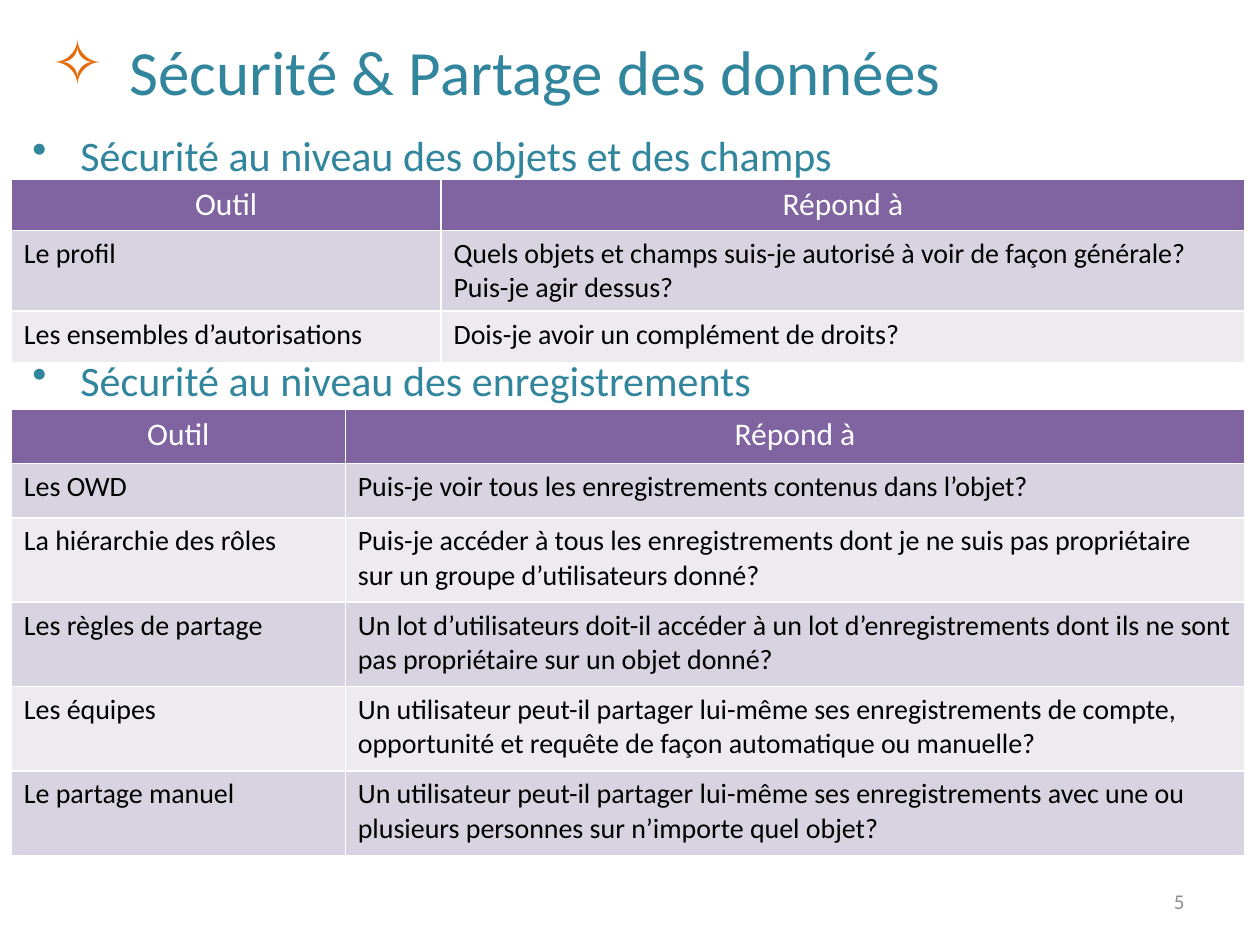
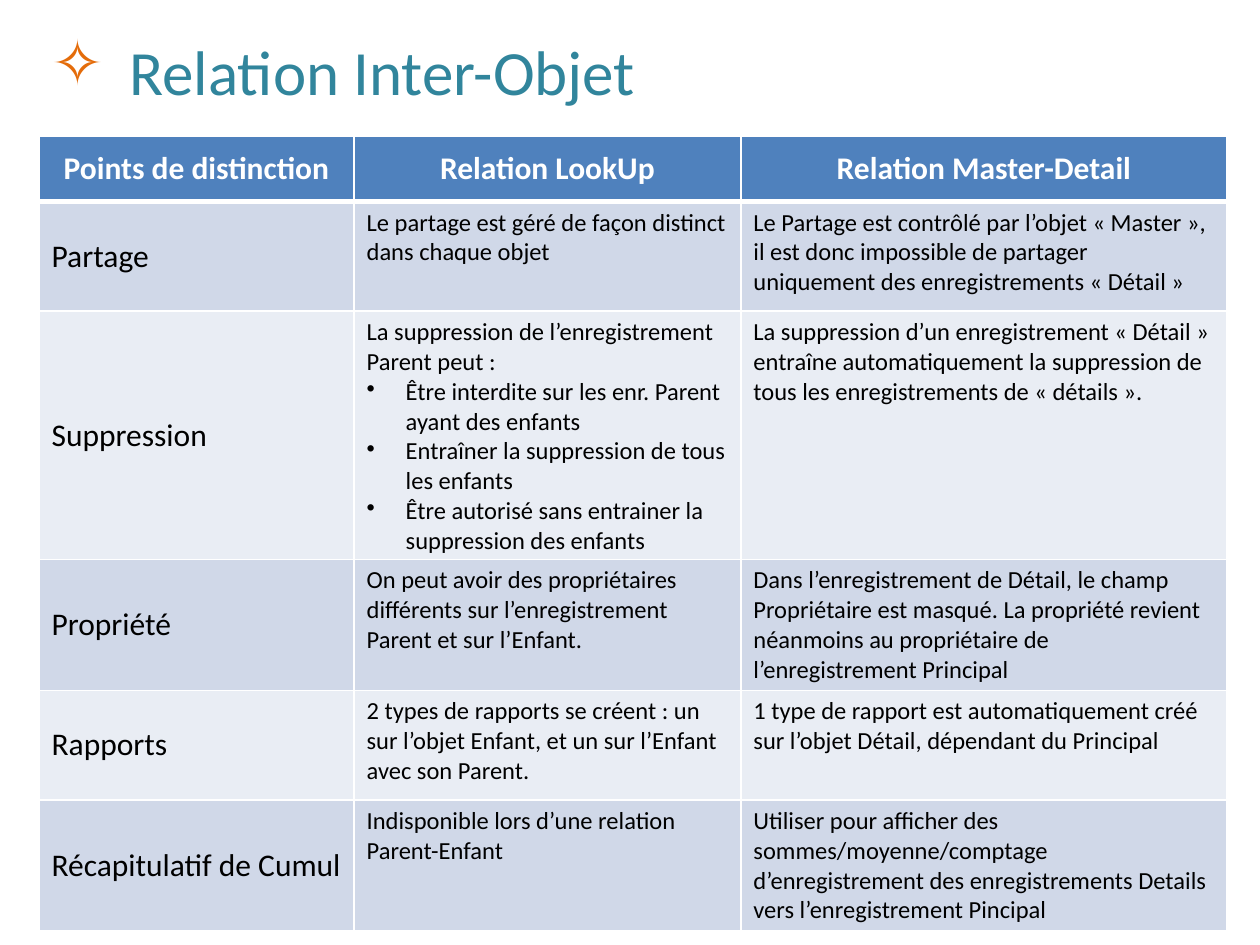
from pptx import Presentation
from pptx.dml.color import RGBColor
from pptx.enum.text import MSO_ANCHOR, PP_ALIGN
from pptx.oxml.ns import qn
from pptx.util import Inches, Pt
from lxml.etree import SubElement

FONT = "Calibri"
COLORS = {
    "teal": "31859C", "orange": "E46C0A", "grey": "8C8C8C",
    "black": "000000", "white": "FFFFFF",
    "purple": "8064A2", "lilac": "D8D3E0", "pale lilac": "EDEAF0",
    "blue": "4F81BD", "sky": "D0D8E8", "pale sky": "E9EDF4",
}
PURPLE_BANDS = ("purple", "lilac", "pale lilac")
BLUE_BANDS = ("blue", "sky", "pale sky")


def write(paragraph, text, size, color, bold=False, bullet=None, indent=0, bullet_color=None):
    """Add one run, with a hanging bullet when one is given."""
    run = paragraph.add_run()
    run.text = text
    run.font.name = FONT
    run.font.size = Pt(size)
    run.font.bold = bold
    run.font.color.rgb = RGBColor.from_string(COLORS[color])
    if bullet:
        properties = paragraph._p.get_or_add_pPr()
        properties.set("marL", str(Inches(indent)))
        properties.set("indent", str(-Inches(indent)))
        if bullet_color:
            tint = SubElement(properties, qn("a:buClr"))
            SubElement(tint, qn("a:srgbClr"), val=COLORS[bullet_color])
        SubElement(properties, qn("a:buChar"), char=bullet)


def add_grid(slide, left, top, widths, heights, rows, bands, body_size,
             label_size, header_rule=1, emphasis=False):
    """Banded table; emphasis makes the header bold and centres labels vertically."""
    table = slide.shapes.add_table(
        len(rows), len(widths), Inches(left), Inches(top),
        Inches(sum(widths)), Inches(sum(heights))).table
    table.first_row = table.horz_banding = False
    for column, width in zip(table.columns, widths):
        column.width = Inches(width)
    for r, (row, height) in enumerate(zip(rows, heights)):
        table.rows[r].height = Inches(height)
        for c, content in enumerate(row):
            cell = table.cell(r, c)
            header = r == 0
            # White rules, heavier between header and body
            rules = {"lnL": 1, "lnR": 1,
                     "lnT": header_rule if r == 1 else 1,
                     "lnB": header_rule if header else 1}
            for side, points in rules.items():
                line = SubElement(cell._tc.get_or_add_tcPr(), qn("a:" + side), w=str(Pt(points)))
                paint = SubElement(line, qn("a:solidFill"))
                SubElement(paint, qn("a:srgbClr"), val=COLORS["white"])
            band = bands[0] if header else bands[1 + (r - 1) % 2]
            cell.fill.solid()
            cell.fill.fore_color.rgb = RGBColor.from_string(COLORS[band])
            if emphasis and (header or c == 0):
                cell.vertical_anchor = MSO_ANCHOR.MIDDLE
            # The first line is plain, the following ones are bulleted
            for n, text in enumerate(content.split("\n")):
                frame = cell.text_frame
                paragraph = frame.add_paragraph() if n else frame.paragraphs[0]
                if header:
                    paragraph.alignment = PP_ALIGN.CENTER
                    write(paragraph, text, 18, "white", bold=emphasis)
                else:
                    write(paragraph, text, label_size if c == 0 else body_size, "black",
                          bullet="•" if n else None, indent=0.31)


prs = Presentation()
prs.slide_width, prs.slide_height = Inches(10), Inches(7.5)

# Slides and their shared title style
slides = []
for title in ("Sécurité & Partage des données", "Relation Inter-Objet"):
    slide = prs.slides.add_slide(prs.slide_layouts[6])
    heading = slide.shapes.add_textbox(Inches(0.31), Inches(0.21), Inches(8.77), Inches(0.71))
    heading.text_frame.word_wrap = True
    write(heading.text_frame.paragraphs[0], title, 36, "teal",
          bullet="✧", indent=0.62, bullet_color="orange")
    slides.append(slide)
security, relations = slides

# Security: section headings, spaced to leave room for the first table
sections = security.shapes.add_textbox(
    Inches(0.16), Inches(0.98), Inches(8.86), Inches(5.57)).text_frame
sections.word_wrap = True
write(sections.paragraphs[0], "Sécurité au niveau des objets et des champs", 24, "teal",
      bullet="•", indent=0.38)
records = sections.add_paragraph()
write(records, "Sécurité au niveau des enregistrements", 24, "teal", bullet="•", indent=0.38)
records.space_before = Pt(99.5)

# Security: object and field tools
tool_header = ("Outil", "Répond à")
object_tools = [
    tool_header,
    ("Le profil",
     "Quels objets et champs suis-je autorisé à voir de façon générale? Puis-je agir dessus?"),
    ("Les ensembles d’autorisations", "Dois-je avoir un complément de droits?"),
]
add_grid(security, 0.09, 1.42, (3.41, 6.38), (0.41, 0.64, 0.41), object_tools,
         PURPLE_BANDS, 16, 16)

# Security: record tools
record_tools = [
    tool_header,
    ("Les OWD", "Puis-je voir tous les enregistrements contenus dans l’objet?"),
    ("La hiérarchie des rôles",
     "Puis-je accéder à tous les enregistrements dont je ne suis pas propriétaire "
     "sur un groupe d’utilisateurs donné?"),
    ("Les règles de partage",
     "Un lot d’utilisateurs doit-il accéder à un lot d’enregistrements dont ils ne sont "
     "pas propriétaire sur un objet donné?"),
    ("Les équipes",
     "Un utilisateur peut-il partager lui-même ses enregistrements de compte, "
     "opportunité et requête de façon automatique ou manuelle?"),
    ("Le partage manuel",
     "Un utilisateur peut-il partager lui-même ses enregistrements avec une ou "
     "plusieurs personnes sur n’importe quel objet?"),
]
add_grid(security, 0.09, 3.25, (2.65, 7.14), [0.43] * 2 + [0.67] * 4, record_tools,
         PURPLE_BANDS, 16, 16)

# Security: page number
page_number = security.shapes.add_textbox(
    Inches(7.17), Inches(6.95), Inches(2.33), Inches(0.4)).text_frame
page_number.word_wrap = True
page_number.vertical_anchor = MSO_ANCHOR.MIDDLE
page_number.paragraphs[0].alignment = PP_ALIGN.RIGHT
write(page_number.paragraphs[0], "5", 12, "grey")

# Relations: comparison of the two relation types
comparison = [
    ("Points de distinction", "Relation LookUp", "Relation Master-Detail"),
    ("Partage",
     "Le partage est géré de façon distinct dans chaque objet",
     "Le Partage est contrôlé par l’objet « Master », il est donc impossible de partager "
     "uniquement des enregistrements « Détail »"),
    ("Suppression",
     "La suppression de l’enregistrement Parent peut :\n"
     "Être interdite sur les enr. Parent ayant des enfants\n"
     "Entraîner la suppression de tous les enfants\n"
     "Être autorisé sans entrainer la suppression des enfants",
     "La suppression d’un enregistrement « Détail » entraîne automatiquement la "
     "suppression de tous les enregistrements de « détails »."),
    ("Propriété",
     "On peut avoir des propriétaires différents sur l’enregistrement Parent et sur l’Enfant.",
     "Dans l’enregistrement de Détail, le champ Propriétaire est masqué. La propriété "
     "revient néanmoins au propriétaire de l’enregistrement Principal"),
    ("Rapports",
     "2 types de rapports se créent : un sur l’objet Enfant, et un sur l’Enfant "
     "avec son Parent.",
     "1 type de rapport est automatiquement créé sur l’objet Détail, dépendant du Principal"),
    ("Récapitulatif de Cumul",
     "Indisponible lors d’une relation Parent-Enfant",
     "Utiliser pour afficher des sommes/moyenne/comptage d’enregistrement des "
     "enregistrements Details vers l’enregistrement Pincipal"),
]
add_grid(relations, 0.31, 1.08, (2.5, 3.07, 3.86), (0.52, 0.87, 1.97, 1.04, 0.87, 1.04),
         comparison, BLUE_BANDS, 14, 18, header_rule=3, emphasis=True)

prs.save("out.pptx")
